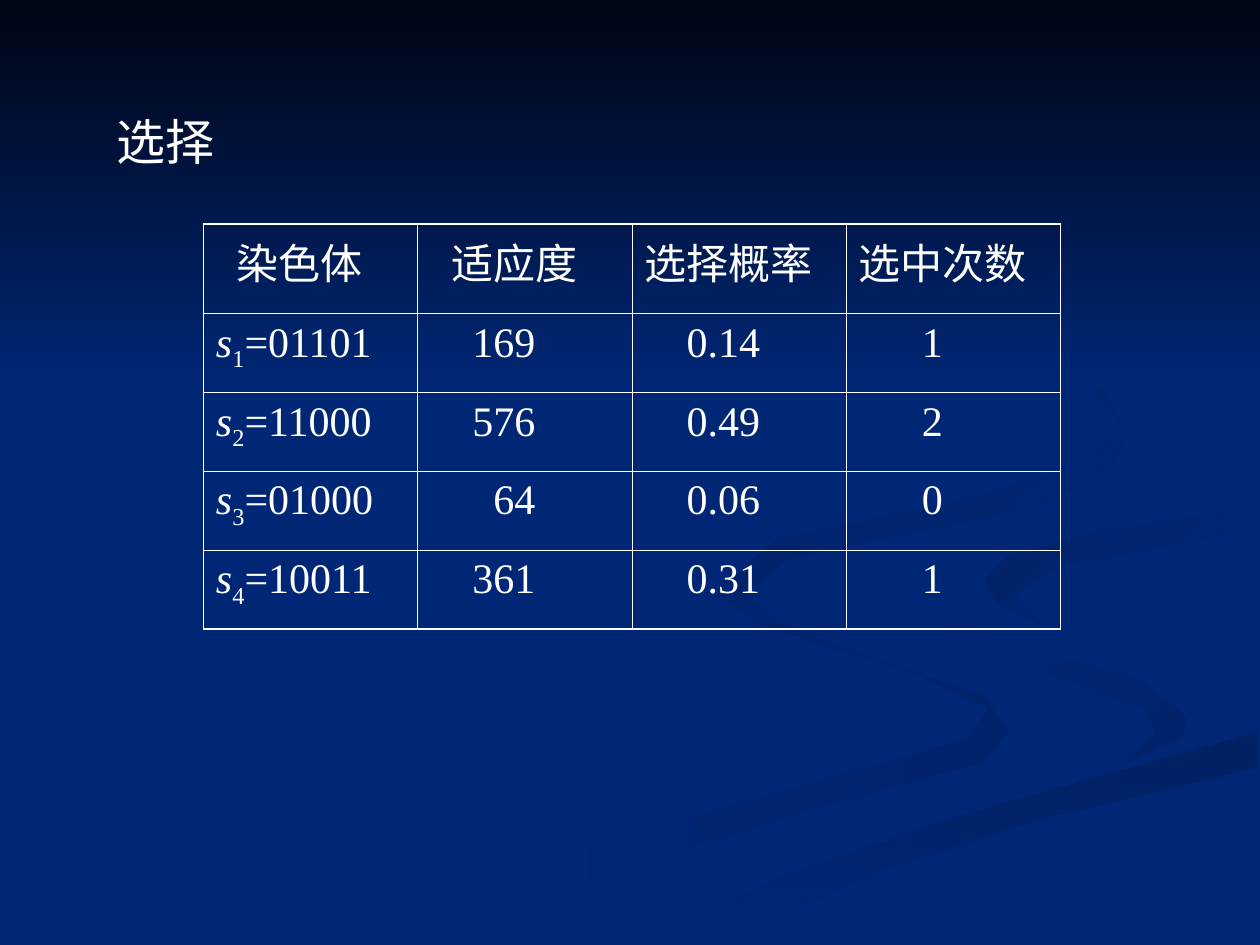
from collections import namedtuple

from lxml.etree import SubElement
from pptx import Presentation
from pptx.dml.color import RGBColor
from pptx.enum.shapes import MSO_SHAPE
from pptx.enum.text import MSO_AUTO_SIZE
from pptx.oxml.ns import qn
from pptx.util import Cm, Pt

Box = namedtuple("Box", "left top width height")

COLORS = {
    "night": "000514", "base": "002776", "shade": "00236B", "deep": "002061",
    "fold": "002268", "curl": "002164", "white": "FFFFFF",
}
HANZI_FONT = "Noto Sans CJK SC"
TABLE_FONT = "Times New Roman"

HEADERS = ["染色体", "适应度", "选择概率", "选中次数"]
HEADER_INDENTS = [12, 12, 0, 0]
BODY_INDENTS = [0, 24, 24, 36]
DIGIT_WIDTH = 12
CHROMOSOMES = [
    ("01101", "169", "0.14", "1"),
    ("11000", "576", "0.49", "2"),
    ("01000", "64", "0.06", "0"),
    ("10011", "361", "0.31", "1"),
]

UNIT = Cm(2.54) / 100
RIBBONS = [
    ("base", "shade", 0, [
        (781, 553), (682, 519), (594, 485), (575, 459), (570, 472), (611, 499), (728, 535),
        (785, 562), (767, 587), (652, 620), (458, 674), (300, 749), (361, 749), (499, 687),
        (651, 640), (780, 605), (800, 581)]),
    ("base", "shade", 45, [
        (943, 570), (905, 540), (792, 509), (724, 464), (746, 500), (838, 536), (907, 562),
        (918, 581), (894, 605), (937, 586)]),
    ("deep", "base", 90, [
        (503, 749), (571, 749), (695, 692), (821, 651), (998, 609), (998, 581), (764, 647),
        (630, 693)]),
    ("fold", "base", 45, [
        (781, 460), (791, 478), (826, 496), (805, 472), (843, 448), (998, 420), (998, 402),
        (865, 424), (799, 442)]),
    ("curl", "base", 45, [
        (683, 430), (825, 402), (883, 370), (894, 344), (864, 291), (762, 233), (846, 279),
        (889, 335), (861, 370), (763, 398), (615, 429), (577, 462), (590, 484), (622, 500),
        (593, 470), (624, 444)]),
]


def rgb(name):
    """Return the named colour."""
    return RGBColor.from_string(COLORS[name])


def shade(shape, start, end, angle):
    """Give a shape a two-colour gradient without outline or shadow."""
    shape.shadow.inherit = False
    shape.line.fill.background()
    shape.fill.gradient()
    shape.fill.gradient_angle = (360 - angle) % 360
    for stop, name in zip(shape.fill.gradient_stops, (start, end)):
        stop.color.rgb = rgb(name)


def draw_backdrop(page, box):
    """Fill the page, lay the ribbons over it and darken the top."""
    page.background.fill.solid()
    page.background.fill.fore_color.rgb = rgb("base")
    for start, end, angle, points in RIBBONS:
        builder = page.shapes.build_freeform(*points[0], scale=UNIT)
        builder.add_line_segments(points[1:])
        shade(builder.convert_to_shape(box.left, box.top), start, end, angle)
    sky = page.shapes.add_shape(MSO_SHAPE.RECTANGLE, box.left, box.top, box.width, Cm(7.82))
    shade(sky, "night", "base", 90)


def style_paragraph(para, size, latin):
    """Set size, colour and both typefaces of a paragraph."""
    para.font.size = Pt(size)
    para.font.name = latin
    para.font.color.rgb = rgb("white")
    defaults = para._p.get_or_add_pPr().get_or_add_defRPr()
    SubElement(defaults, qn("a:ea"), typeface=HANZI_FONT)


def add_title(page, box):
    """Write the heading of the page."""
    frame = page.shapes.add_textbox(*box).text_frame
    frame.word_wrap = True
    frame.auto_size = MSO_AUTO_SIZE.SHAPE_TO_FIT_TEXT
    para = frame.paragraphs[0]
    para.text = "选择"
    style_paragraph(para, 28, HANZI_FONT)


def add_borders(cell, outer_sides):
    """Draw the four cell borders, heavier on the outer sides."""
    properties = cell._tc.get_or_add_tcPr()
    for side in "LRTB":
        width = Pt(1.08 if side in outer_sides else 0.45)
        line = SubElement(properties, qn(f"a:ln{side}"), w=str(width))
        fill = SubElement(line, qn("a:solidFill"))
        SubElement(fill, qn("a:srgbClr"), val=COLORS["white"])


def write_chromosome(para, number, code):
    """Write an italic s with its subscript and the bit string."""
    symbol, index, value = (para.add_run() for _ in range(3))
    symbol.text, index.text, value.text = "s", str(number), f"={code}"
    symbol.font.italic = True
    index._r.get_or_add_rPr().set("baseline", "-25000")


def add_fitness_table(page, box):
    """Build the table of fitness and selection for each chromosome."""
    rows = [HEADERS, *CHROMOSOMES]
    last_row, last_column = len(rows) - 1, len(HEADERS) - 1
    table = page.shapes.add_table(len(rows), len(HEADERS), *box).table
    table.first_row = table.horz_banding = False
    for column in table.columns:
        column.width = int(box.width / len(HEADERS))
    header_height = Cm(1.8)
    for r, texts in enumerate(rows):
        table.rows[r].height = int((box.height - header_height) / last_row) if r else header_height
        for c, text in enumerate(texts):
            cell = table.cell(r, c)
            edges = {"L": c == 0, "R": c == last_column, "T": r == 0, "B": r == last_row}
            add_borders(cell, [side for side, outer in edges.items() if outer])
            cell.fill.background()
            para = cell.text_frame.paragraphs[0]
            indent = (BODY_INDENTS if r else HEADER_INDENTS)[c]
            if r and c == 1:
                indent += DIGIT_WIDTH * (3 - len(text))
            para._p.get_or_add_pPr().set("marL", str(Pt(indent)))
            style_paragraph(para, 24, TABLE_FONT)
            if r and c == 0:
                write_chromosome(para, r, text)
            else:
                para.add_run().text = text


def main():
    """Build and save the deck."""
    deck = Presentation()
    deck.slide_width, deck.slide_height = Cm(25.4), Cm(19.05)
    page = deck.slides.add_slide(deck.slide_layouts[6])
    draw_backdrop(page, Box(0, 0, deck.slide_width, deck.slide_height))
    add_title(page, Box(Cm(2.1), Cm(2.13), Cm(18.2), Cm(1.45)))
    add_fitness_table(page, Box(Cm(4.1), Cm(4.52), Cm(17.28), Cm(8.16)))
    deck.save("out.pptx")


if __name__ == "__main__":
    main()
